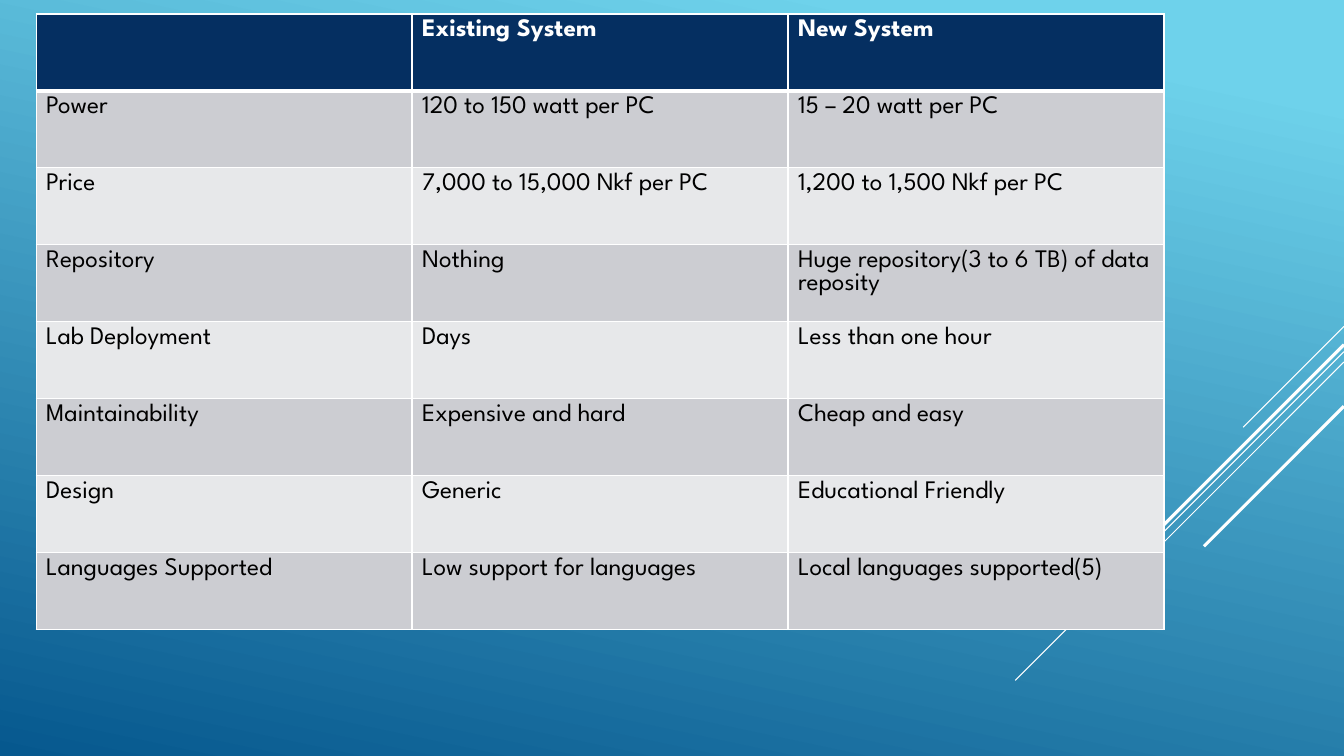
"""Build a slide comparing the existing system with the new one in a table."""
from typing import NamedTuple

from lxml import etree
from pptx import Presentation
from pptx import util as u
from pptx.dml.color import RGBColor
from pptx.enum import shapes
from pptx.oxml import ns

COLORS = {
    "sky": "6ED2EB",
    "ocean": "06588E",
    "header": "052F61",
    "dark_band": "CCCDD2",
    "light_band": "E7E8EA",
    "white": "FFFFFF",
    "black": "000000",
}
FONT = "League Spartan"
SLIDE_WIDTH, SLIDE_HEIGHT = 960, 540
TABLE_LEFT, TABLE_TOP = 25.8, 10
COLUMN_WIDTH, ROW_HEIGHT = 268.56, 54.94


class Diagonal(NamedTuple):
    top: float
    run: float
    weight: float


class Comparison(NamedTuple):
    aspect: str
    existing: str
    new: str


DIAGONALS = [
    Diagonal(233.2, 72, 0.75),
    Diagonal(251.2, 234.8, 0.75),
    Diagonal(258.6, 149, 0.75),
    Diagonal(246.2, 137.6, 2.25),
    Diagonal(290.2, 100, 2.25),
]
COMPARISONS = [
    Comparison("", "Existing System", "New System"),
    Comparison("Power", "120 to 150 watt per PC", "15 – 20 watt per PC"),
    Comparison("Price", "7,000 to 15,000 Nkf per PC", "1,200 to 1,500 Nkf per PC"),
    Comparison("Repository", "Nothing", "Huge repository(3 to 6 TB) of data reposity"),
    Comparison("Lab Deployment", "Days", "Less than one hour"),
    Comparison("Maintainability", "Expensive and hard", "Cheap and easy"),
    Comparison("Design", "Generic", "Educational Friendly"),
    Comparison("Languages Supported", "Low support for languages", "Local languages supported(5)"),
]


def color(name: str) -> RGBColor:
    return RGBColor.from_string(COLORS[name])


def paint_background(slide) -> None:
    fill = slide.background.fill
    fill.gradient()
    fill.gradient_angle = 258
    for stop, name, position in zip(fill.gradient_stops, ("sky", "ocean"), (0.1, 1)):
        stop.color.rgb = color(name)
        stop.position = position


def draw_diagonal(slide, diagonal: Diagonal) -> None:
    connector = slide.shapes.add_connector(
        shapes.MSO_CONNECTOR.STRAIGHT,
        u.Pt(SLIDE_WIDTH),
        u.Pt(diagonal.top),
        u.Pt(SLIDE_WIDTH - diagonal.run),
        u.Pt(diagonal.top + diagonal.run),
    )
    connector.line.color.rgb = color("white")
    connector.line.width = u.Pt(diagonal.weight)
    etree.SubElement(connector._element.spPr, ns.qn("a:effectLst"))


def add_border(cell, side: str, weight: float) -> None:
    properties = cell._tc.get_or_add_tcPr()
    border = etree.SubElement(properties, ns.qn(f"a:ln{side}"), w=str(u.Pt(weight)))
    solid = etree.SubElement(border, ns.qn("a:solidFill"))
    etree.SubElement(solid, ns.qn("a:srgbClr"), val=COLORS["white"])


def fill_cell(cell, content: str, row: int) -> None:
    is_header = row == 0
    weights = {"L": 1, "R": 1, "T": 3 if row == 1 else 1, "B": 3 if is_header else 1}
    for side, weight in weights.items():
        add_border(cell, side, weight)
    band = "dark_band" if row % 2 else "light_band"
    cell.fill.solid()
    cell.fill.fore_color.rgb = color("header" if is_header else band)
    if content:
        run = cell.text_frame.paragraphs[0].add_run()
        run.text = content
        run.font.name = FONT
        run.font.size = u.Pt(18)
        run.font.bold = is_header
        run.font.color.rgb = color("white" if is_header else "black")


def draw_table(slide, comparisons: list[Comparison]) -> None:
    row_count, column_count = len(comparisons), len(Comparison._fields)
    table = slide.shapes.add_table(
        row_count,
        column_count,
        u.Pt(TABLE_LEFT),
        u.Pt(TABLE_TOP),
        u.Pt(COLUMN_WIDTH * column_count),
        u.Pt(ROW_HEIGHT * row_count),
    ).table
    for row, comparison in enumerate(comparisons):
        table.rows[row].height = u.Pt(ROW_HEIGHT)
        for column, content in enumerate(comparison):
            fill_cell(table.cell(row, column), content, row)


def main() -> None:
    presentation = Presentation()
    presentation.slide_width = u.Pt(SLIDE_WIDTH)
    presentation.slide_height = u.Pt(SLIDE_HEIGHT)
    slide = presentation.slides.add_slide(presentation.slide_layouts[6])
    paint_background(slide)
    for diagonal in DIAGONALS:
        draw_diagonal(slide, diagonal)
    draw_table(slide, COMPARISONS)
    presentation.save("out.pptx")


if __name__ == "__main__":
    main()
